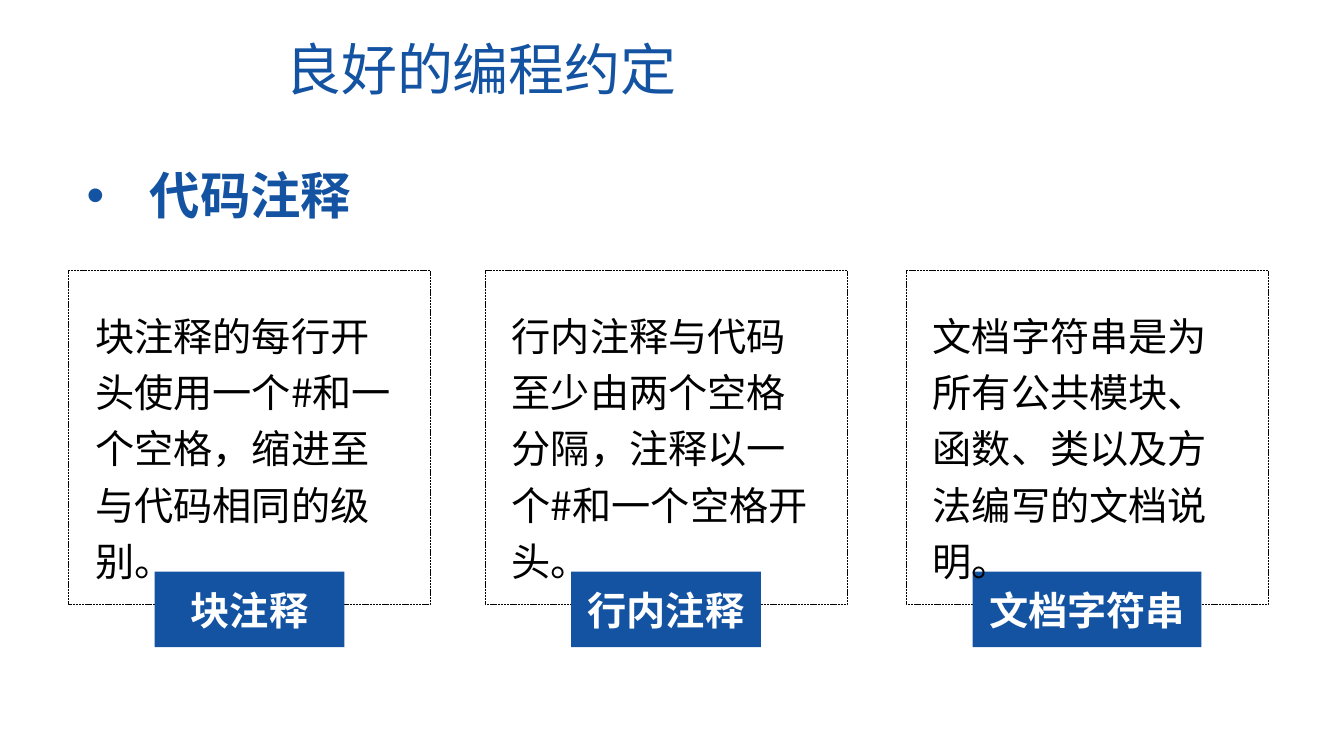
from lxml import etree
from pptx import Presentation
from pptx.dml.color import RGBColor
from pptx.enum import dml, shapes, text
from pptx.oxml import ns
from pptx.util import Pt

FONT = "Noto Sans CJK SC"
BLUE, BLACK, WHITE = "1353A2", "000000", "FFFFFF"

# Card geometry in points
CARD_TOP, CARD_W, CARD_H = 193.5, 258.5, 238.5
LABEL_TOP, LABEL_H = 408.25, 54
TEXT_INSET, TEXT_TOP, TEXT_H = 12, 212.5, 211

# Left edge, label width, label, description
CARDS = [
    (49, 135.5, "块注释",
     "块注释的每行开头使用一个#和一个空格，缩进至与代码相同的级别。"),
    (346.5, 135.5, "行内注释",
     "行内注释与代码至少由两个空格分隔，注释以一个#和一个空格开头。"),
    (647.25, 163.5, "文档字符串",
     "文档字符串是为所有公共模块、函数、类以及方法编写的文档说明。"),
]


def color(value):
    return RGBColor.from_string(value)


def place(sp, left, top, width, height):
    sp.left, sp.top = Pt(left), Pt(top)
    sp.width, sp.height = Pt(width), Pt(height)


def write(sp, words, size, ink, bold=False, align=text.PP_ALIGN.LEFT,
          anchor=text.MSO_ANCHOR.TOP):
    """Fill a shape with one formatted paragraph and return the paragraph."""
    tf = sp.text_frame
    tf.text = words
    tf.word_wrap = True
    tf.auto_size = text.MSO_AUTO_SIZE.NONE
    tf.vertical_anchor = anchor
    p = tf.paragraphs[0]
    p.alignment = align
    p.space_before = Pt(0)
    font = p.runs[0].font
    font.name, font.size, font.bold = FONT, Pt(size), bold
    font.color.rgb = color(ink)
    ea = etree.SubElement(font._element, ns.qn("a:ea"))
    ea.set("typeface", FONT)
    return p


def add_bullet(p, indent):
    pPr = p._p.get_or_add_pPr()
    pPr.set("marL", str(Pt(indent)))
    pPr.set("indent", str(-Pt(indent)))
    etree.SubElement(pPr, ns.qn("a:buFont")).set("typeface", "Arial")
    etree.SubElement(pPr, ns.qn("a:buChar")).set("char", "•")


def add_box(slide, left, top, width, height):
    sp = slide.shapes.add_shape(shapes.MSO_SHAPE.RECTANGLE, Pt(left), Pt(top),
                                Pt(width), Pt(height))
    sp.shadow.inherit = False
    return sp


def add_card(slide, left, label_w, label, description):
    # Dashed frame
    frame = add_box(slide, left, CARD_TOP, CARD_W, CARD_H)
    frame.fill.background()
    frame.line.color.rgb = color(BLACK)
    frame.line.width = Pt(0.5)
    frame.line.dash_style = dml.MSO_LINE.SQUARE_DOT

    # Label centred on the lower edge
    tag = add_box(slide, left + (CARD_W - label_w) / 2, LABEL_TOP,
                  label_w, LABEL_H)
    tag.fill.solid()
    tag.fill.fore_color.rgb = color(BLUE)
    tag.line.fill.background()
    write(tag, label, 28, WHITE, True, text.PP_ALIGN.CENTER,
          text.MSO_ANCHOR.MIDDLE)

    # Description
    box = slide.shapes.add_textbox(Pt(left + TEXT_INSET), Pt(TEXT_TOP),
                                   Pt(CARD_W - 2 * TEXT_INSET), Pt(TEXT_H))
    write(box, description, 28, BLACK).line_spacing = 1.2


def main():
    prs = Presentation()
    prs.slide_width, prs.slide_height = Pt(960), Pt(540)
    slide = prs.slides.add_slide(prs.slide_layouts[1])

    # Title and topic
    title, body = slide.placeholders
    place(title, 196.5, 21, 423.5, 55.5)
    write(title, "良好的编程约定", 40, BLUE)
    place(body, 54.75, 113.75, 576, 51)
    add_bullet(write(body, "代码注释", 36, BLUE, True), 45)

    # Three kinds of comment
    for card in CARDS:
        add_card(slide, *card)

    prs.save("out.pptx")


if __name__ == "__main__":
    main()
